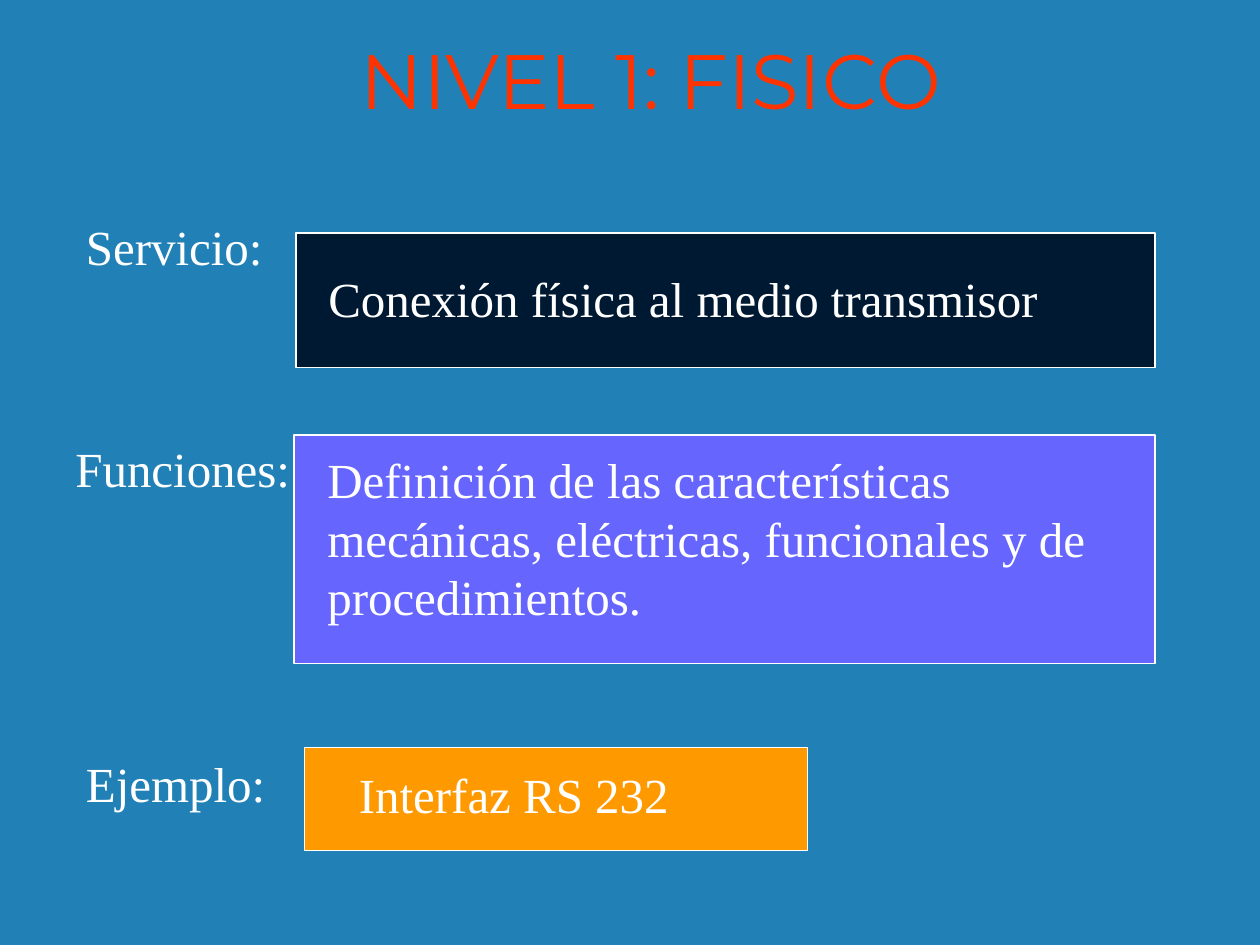
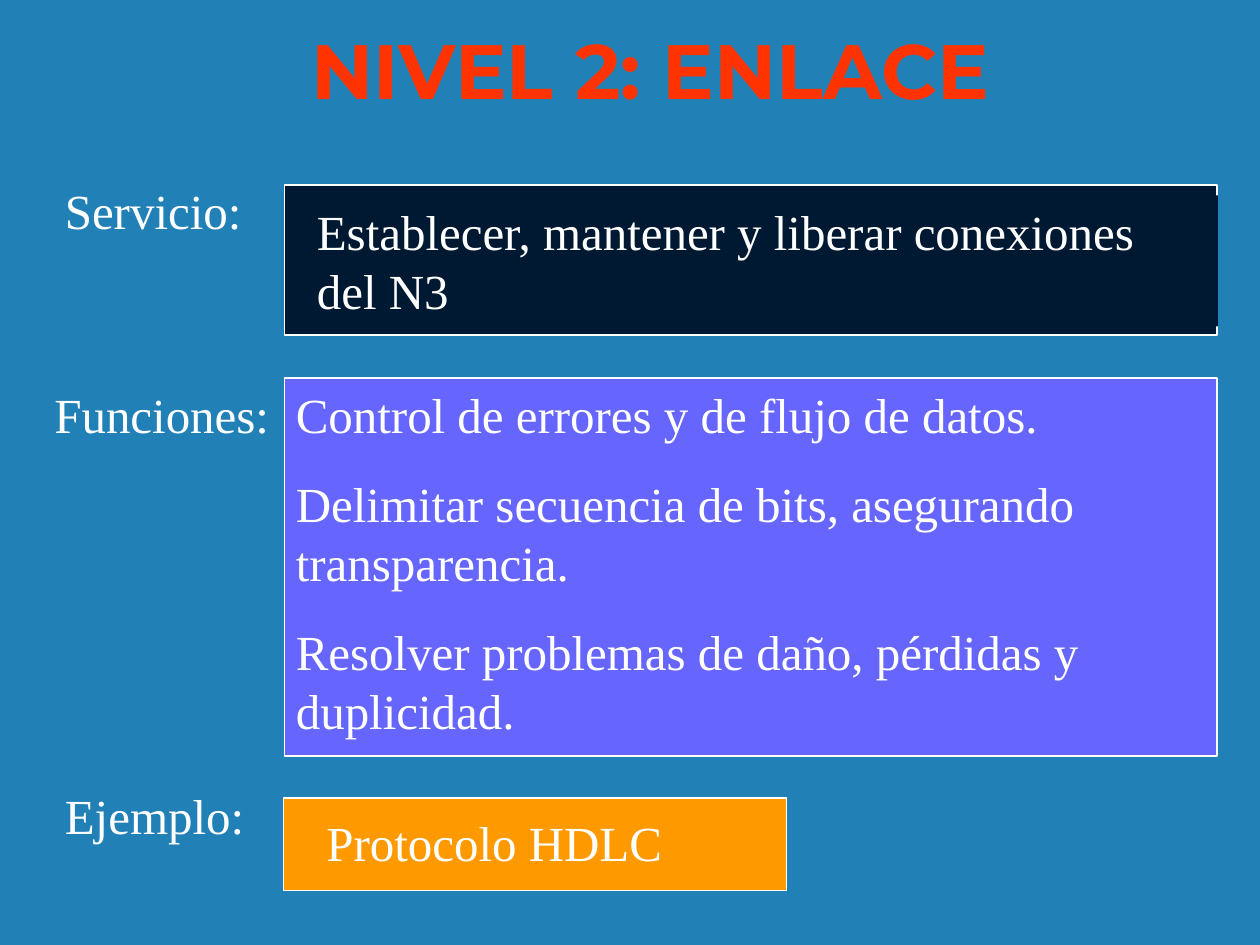
from lxml import etree
from pptx import Presentation
from pptx.dml.color import RGBColor
from pptx.enum.shapes import MSO_SHAPE
from pptx.enum.text import MSO_ANCHOR, MSO_AUTO_SIZE, PP_ALIGN
from pptx.oxml.ns import qn
from pptx.util import Inches, Pt

RECTANGLE = MSO_SHAPE.RECTANGLE
TOP, MIDDLE = MSO_ANCHOR.TOP, MSO_ANCHOR.MIDDLE
LEFT, CENTER = PP_ALIGN.LEFT, PP_ALIGN.CENTER
NO_AUTOFIT = MSO_AUTO_SIZE.NONE

COLORS = {
    "background": "2181B7",
    "title": "FF3300",
    "text": "FFFFFF",
    "service": "001932",
    "functions": "6666FF",
    "example": "FF9900",
    "shadow": "000000",
}
TITLE_FONT, BODY_FONT = "Montserrat", "Times New Roman"

# Grid of 120 columns by 90 rows; every place is (column, row, columns, rows)
COLUMNS, ROWS = 120, 90
LINE_ROWS = 6.8

levels = [
    {
        "title": "NIVEL 1: FISICO", "title_row": 2, "bold": False,
        "parts": [
            {"name": "Servicio:", "color": "service", "label": (7, 20, 31, LINE_ROWS),
             "box": (28.2, 22.2, 81.8, 12.8), "text": (30.1, 25, 84, LINE_ROWS),
             "lines": ["Conexión física al medio transmisor"]},
            {"name": "Funciones:", "color": "functions", "label": (6, 41.2, 24, LINE_ROWS),
             "box": (28, 41.4, 82, 21.8), "text": (30, 42.2, 83, 18),
             "lines": ["Definición de las características mecánicas, eléctricas, "
                       "funcionales y de procedimientos."]},
            {"name": "Ejemplo:", "color": "example", "label": (7, 71.2, 26, LINE_ROWS),
             "box": (29, 71.2, 47.9, 9.8), "text": (33, 72.2, 34, LINE_ROWS),
             "lines": ["Interfaz RS 232"]},
        ],
    },
    {
        "title": "NIVEL 2: ENLACE", "title_row": 1, "bold": True,
        "parts": [
            {"name": "Servicio:", "color": "service", "label": (5, 16.6, 31, LINE_ROWS),
             "box": (27.1, 17.6, 88.8, 14.3), "text": (29, 18.6, 87, 12.5), "filled": True,
             "lines": ["Establecer, mantener y liberar conexiones del N3"]},
            {"name": "Funciones:", "color": "functions", "label": (4, 36, 24, LINE_ROWS),
             "box": (27.1, 36, 88.8, 36), "text": (27, 36, 91, 35),
             "lines": ["Control de errores y de flujo de datos.",
                       "Delimitar secuencia de bits, asegurando transparencia.",
                       "Resolver problemas de daño, pérdidas y duplicidad."]},
            {"name": "Ejemplo:", "color": "example", "label": (5, 74.2, 26, LINE_ROWS),
             "box": (27, 76, 47.9, 8.8), "text": (29.9, 76.8, 45, LINE_ROWS),
             "lines": ["Protocolo HDLC"]},
        ],
    },
]

presentation = Presentation()
presentation.slide_width, presentation.slide_height = Inches(10), Inches(7.5)
column = presentation.slide_width / COLUMNS
row = presentation.slide_height / ROWS

# Shared background
background = presentation.slide_master.background.fill
background.solid()
background.fore_color.rgb = RGBColor.from_string(COLORS["background"])


def place(left, top, width, height):
    return [round(left * column), round(top * row), round(width * column), round(height * row)]


def write(shape, lines, font_name, size, color, alignment=LEFT, anchor=TOP, bold=False):
    frame = shape.text_frame
    frame.text = "\n".join(lines)
    frame.word_wrap = True
    frame.auto_size = NO_AUTOFIT
    frame.vertical_anchor = anchor
    for index, paragraph in enumerate(frame.paragraphs):
        paragraph.alignment = alignment
        paragraph.space_before = Pt(17.5 if index else 0)
        for run in paragraph.runs:
            run.font.name, run.font.size, run.font.bold = font_name, Pt(size), bold
            run.font.color.rgb = RGBColor.from_string(COLORS[color])


for level in levels:
    slide = presentation.slides.add_slide(presentation.slide_layouts[5])

    # Title, with a text shadow when bold
    title = slide.shapes.title
    title.left, title.top, title.width, title.height = place(15, level["title_row"], 94, 11)
    write(title, [level["title"]], TITLE_FONT, 44, "title", CENTER, MIDDLE, level["bold"])
    if level["bold"]:
        fill = title.text_frame.paragraphs[0].runs[0].font._element.find(qn("a:solidFill"))
        effects = etree.Element(qn("a:effectLst"))
        shadow = etree.SubElement(effects, qn("a:outerShdw"), dist="25400", dir="2700000")
        etree.SubElement(shadow, qn("a:srgbClr"), val=COLORS["shadow"])
        fill.addnext(effects)

    # Labels
    for part in level["parts"]:
        label = slide.shapes.add_textbox(*place(*part["label"]))
        write(label, [part["name"]], BODY_FONT, 28, "text")

    # Outlined boxes, each with its text on top
    for part in level["parts"]:
        box = slide.shapes.add_shape(RECTANGLE, *place(*part["box"]))
        box.shadow.inherit = False
        box.fill.solid()
        box.fill.fore_color.rgb = RGBColor.from_string(COLORS[part["color"]])
        box.line.color.rgb = RGBColor.from_string(COLORS["text"])
        box.line.width = Pt(1)

        text = slide.shapes.add_textbox(*place(*part["text"]))
        write(text, part["lines"], BODY_FONT, 28, "text")
        if part.get("filled"):
            text.fill.solid()
            text.fill.fore_color.rgb = RGBColor.from_string(COLORS[part["color"]])

presentation.save("out.pptx")
